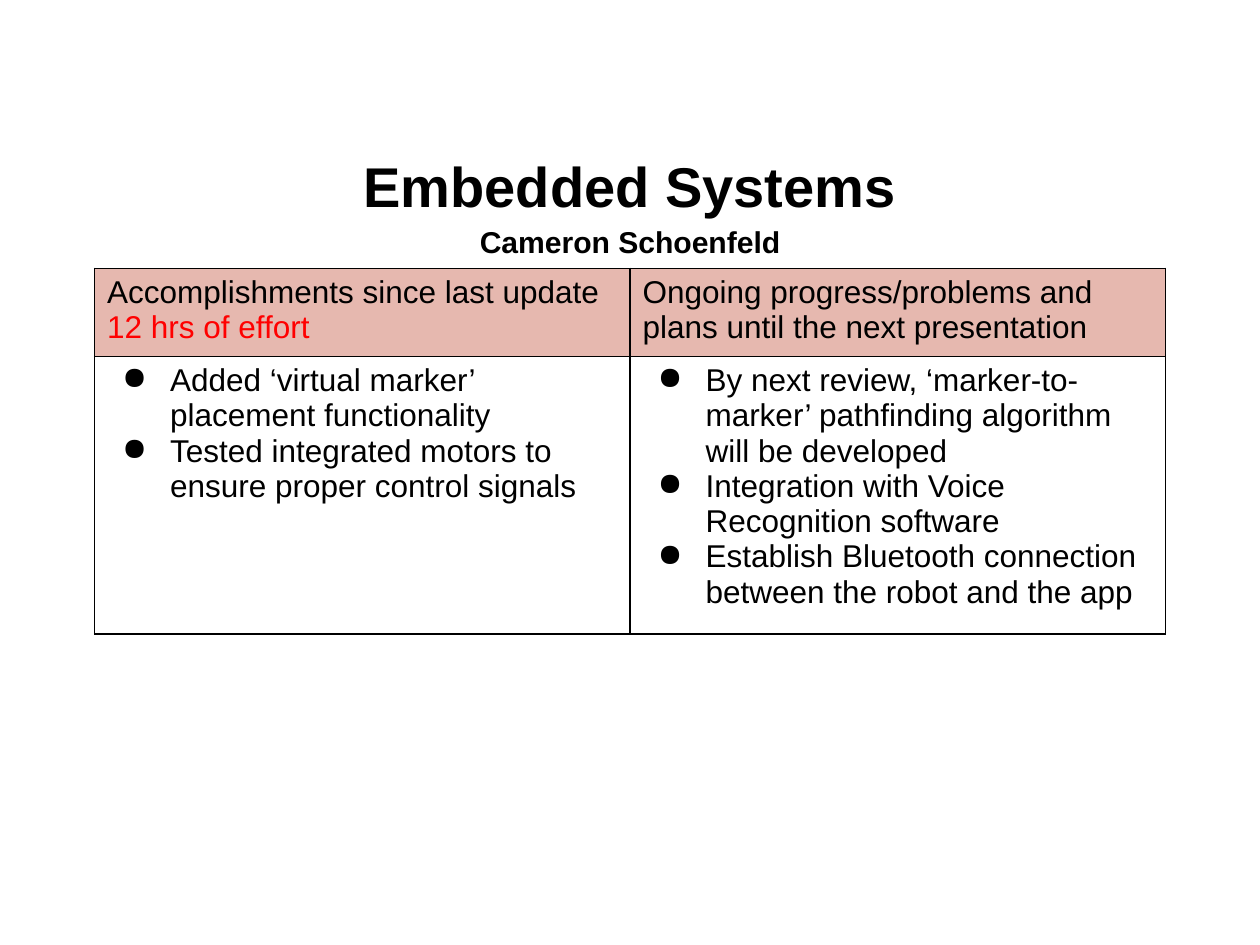
from lxml import etree
from pptx import Presentation
from pptx.dml.color import RGBColor
from pptx.enum.text import MSO_ANCHOR, PP_ALIGN
from pptx.oxml.ns import qn
from pptx.util import Inches, Pt

CENTER, LEFT = PP_ALIGN.CENTER, PP_ALIGN.LEFT
MIDDLE, TOP = MSO_ANCHOR.MIDDLE, MSO_ANCHOR.TOP
WIDTH, HEIGHT = 10, 7.5
COLORS = {"text": "000000", "effort": "FF0000", "header": "E6B8AF", "border": "000000"}


def add_text(p, text, size=18, color="text", bold=False, align=LEFT, spacing=None, bullet=None):
    """Append a formatted run to a paragraph, with an optional bullet."""
    p.alignment = align
    if spacing:
        p.line_spacing = spacing
    if bullet:
        pPr = p._p.get_or_add_pPr()
        pPr.set("marL", str(Inches(0.5)))
        pPr.set("indent", str(Inches(-0.38)))
        clr = etree.SubElement(pPr, qn("a:buClr"))
        etree.SubElement(clr, qn("a:srgbClr"), val=COLORS["text"])
        etree.SubElement(pPr, qn("a:buChar"), char=bullet)
    r = p.add_run()
    r.text = text
    r.font.name, r.font.size, r.font.bold = "Arial", Pt(size), bold
    r.font.color.rgb = RGBColor.from_string(COLORS[color])


class Deck:
    """Holds the presentation and the current slide; lengths are shares of the slide."""

    def __init__(self):
        self.prs = Presentation()
        self.prs.slide_width, self.prs.slide_height = Inches(WIDTH), Inches(HEIGHT)
        self.s = self.prs.slides.add_slide(self.prs.slide_layouts[6])

    def box(self, x, y, w, h):
        return Inches(x * WIDTH), Inches(y * HEIGHT), Inches(w * WIDTH), Inches(h * HEIGHT)

    def fill_text(self, tf, paragraphs):
        """Each paragraph is a list of (text, format) runs."""
        for i, runs in enumerate(paragraphs):
            p = tf.add_paragraph() if i else tf.paragraphs[0]
            for text, style in runs:
                add_text(p, text, **style)

    def heading(self, paragraphs, x, y, w, h):
        tf = self.s.shapes.add_textbox(*self.box(x, y, w, h)).text_frame
        tf.word_wrap, tf.vertical_anchor = True, MIDDLE
        self.fill_text(tf, paragraphs)

    def border(self, cell):
        tcPr = cell._tc.get_or_add_tcPr()
        for i, side in enumerate(("a:lnL", "a:lnR", "a:lnT", "a:lnB")):
            ln = etree.Element(qn(side), w=str(Pt(1)))
            fill = etree.SubElement(ln, qn("a:solidFill"))
            etree.SubElement(fill, qn("a:srgbClr"), val=COLORS["border"])
            tcPr.insert(i, ln)

    def table(self, rows, heights, x, y, w):
        frame = self.s.shapes.add_table(
            len(rows), len(rows[0]), *self.box(x, y, w, sum(heights)))
        table = frame.table
        for i, row in enumerate(rows):
            table.rows[i].height = Inches(heights[i] * HEIGHT)
            for j, paragraphs in enumerate(row):
                cell = table.cell(i, j)
                cell.margin_left = cell.margin_right = Inches(0.1)
                cell.margin_top = cell.margin_bottom = Inches(0.05)
                cell.vertical_anchor = TOP
                if i == 0:
                    cell.fill.solid()
                    cell.fill.fore_color.rgb = RGBColor.from_string(COLORS["header"])
                else:
                    cell.fill.background()
                self.border(cell)
                self.fill_text(cell.text_frame, paragraphs)


def bullets(*items):
    return [[(item, {"bullet": "●"})] for item in items]


def main():
    deck = Deck()

    # Title and presenter
    title = {"bold": True, "align": CENTER, "spacing": 1.15}
    deck.heading([[("Embedded Systems", {"size": 32, **title})],
                  [("Cameron Schoenfeld", {"size": 17.2, **title})]],
                 0.05, 1.15 / HEIGHT, 0.9, 0.88 / HEIGHT)

    # Status table
    headers = [
        [[("Accomplishments since last update ", {}),
          ("12 hrs of effort", {"color": "effort"})]],
        [[("Ongoing progress/problems and plans until the next presentation", {})]],
    ]
    status = [
        bullets("Added ‘virtual marker’ placement functionality",
                "Tested integrated motors to ensure proper control signals"),
        bullets("By next review, ‘marker-to-marker’ pathfinding algorithm will be developed",
                "Integration with Voice Recognition software",
                "Establish Bluetooth connection between the robot and the app"),
    ]
    deck.table([headers, status], [0.7 / HEIGHT, 1.9 / HEIGHT], 0.075, 2.13 / HEIGHT, 0.85)

    deck.prs.save("out.pptx")


if __name__ == "__main__":
    main()
